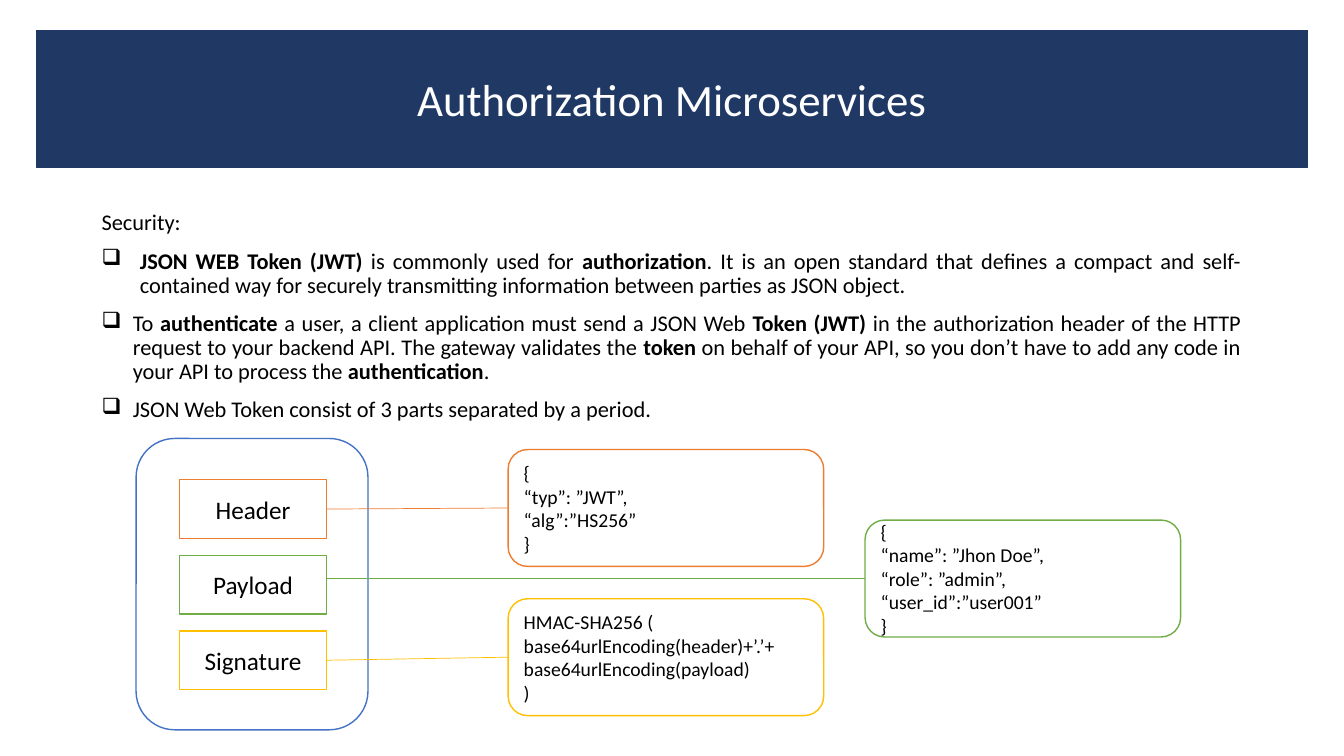
from lxml import etree
from pptx import Presentation
from pptx import util as u
from pptx.dml.color import RGBColor
from pptx.enum import shapes, text
from pptx.oxml.ns import qn

WIDTH, HEIGHT = 13.33, 7.5
COLORS = {"navy": "203864", "blue": "4472C4", "orange": "ED7D31", "green": "70AD47",
          "gold": "FFC000", "white": "FFFFFF", "black": "000000"}
ALIGN = text.PP_ALIGN

# Bold phrases stand between asterisks; each bullet has its hanging indent
BULLETS = [
    (0.38, "*JSON WEB Token (JWT) *is commonly used for *authorization*. It is an open standard "
           "that defines a compact and self-contained way for securely transmitting information "
           "between parties as JSON object."),
    (0.31, "To *authenticate* a user, a client application must send a JSON Web *Token (JWT) *"
           "in the authorization header of the HTTP request to your backend API. The gateway "
           "validates the *token* on behalf of your API, so you don’t have to add any code in "
           "your API to process the *authentication*."),
    (0.31, "JSON Web Token consist of 3 parts separated by a period."),
]

# Part name, color, left and top of its detail box, height where its link starts, detail lines
TOKEN_PARTS = [
    ("Header", "orange", 5.04, 4.46, 5.05, ["{", "“typ”: ”JWT”,", "“alg”:”HS256”", "}"]),
    ("Payload", "green", 8.58, 5.16, 5.74,
     ["{", "“name”: ”Jhon Doe”,", "“role”: ”admin”,", "“user_id”:”user001”", "}"]),
    ("Signature", "gold", 5.04, 5.94, 6.55,
     ["HMAC-SHA256 (", "base64urlEncoding(header)+’.’+", "base64urlEncoding(payload)", ")"]),
]


def rgb(name):
    return RGBColor.from_string(COLORS[name])


def write(paragraph, content, size, color="black", align=ALIGN.LEFT, indent=0,
          line_spacing=None, space_before=0):
    """Fill a paragraph; a positive indent also gives it a hanging bullet."""
    if indent:
        properties = paragraph._p.get_or_add_pPr()
        properties.set("marL", str(u.Inches(indent)))
        properties.set("indent", str(-u.Inches(indent)))
        etree.SubElement(properties, qn("a:buChar")).set("char", "❑")
    paragraph.alignment = align
    paragraph.space_before = u.Pt(space_before)
    if line_spacing:
        paragraph.line_spacing = line_spacing
    for index, piece in enumerate(content.split("*")):
        if piece:
            run = paragraph.add_run()
            run.text = piece
            run.font.name = "Calibri"
            run.font.size = u.Pt(size)
            run.font.bold = index % 2 == 1
            run.font.color.rgb = rgb(color)


def add_box(slide, box, line, fill="white", rounded=False, lines=(), **format):
    kind = shapes.MSO_SHAPE.ROUNDED_RECTANGLE if rounded else shapes.MSO_SHAPE.RECTANGLE
    shape = slide.shapes.add_shape(kind, *map(u.Inches, box))
    shape.shadow.inherit = False
    shape.fill.solid()
    shape.fill.fore_color.rgb = rgb(fill)
    shape.line.color.rgb = rgb(line)
    shape.line.width = u.Pt(1)
    frame = shape.text_frame
    frame.word_wrap = True
    frame.vertical_anchor = text.MSO_ANCHOR.MIDDLE
    for index, content in enumerate(lines):
        paragraph = frame.add_paragraph() if index else frame.paragraphs[0]
        write(paragraph, content, **format)


def add_link(slide, start, end, color):
    connector = slide.shapes.add_connector(
        shapes.MSO_CONNECTOR.STRAIGHT, *map(u.Inches, start + end))
    connector.line.color.rgb = rgb(color)
    connector.line.width = u.Pt(0.5)
    etree.SubElement(connector._element.spPr, qn("a:effectLst"))


def add_title(slide, box):
    add_box(slide, box, "navy", fill="navy", lines=["Authorization Microservices"],
            size=32, color="white", align=ALIGN.CENTER)


def add_body(slide, box):
    frame = slide.shapes.add_textbox(*map(u.Inches, box)).text_frame
    frame.word_wrap = True
    write(frame.paragraphs[0], "Security:", 16, line_spacing=0.9)
    for indent, content in BULLETS:
        write(frame.add_paragraph(), content, 16, align=ALIGN.JUSTIFY, indent=indent,
              line_spacing=0.9, space_before=10)


def add_token_diagram(slide, box):
    left, top, width, height = box
    # Container of the token parts
    add_box(slide, box, "blue", rounded=True)
    part_left, part_top = left + 0.43, top + 0.41
    part_width, part_height, pitch = 1.46, 0.58, 0.75
    detail_width, detail_height = 3.13, 1.16
    for row, (name, color, detail_left, detail_top, link_y, lines) in enumerate(TOKEN_PARTS):
        # Part, its link and its detail box
        add_box(slide, (part_left, part_top + row * pitch, part_width, part_height), color,
                lines=[name], size=18, align=ALIGN.CENTER)
        add_link(slide, (part_left + part_width, link_y),
                 (detail_left, detail_top + detail_height / 2), color)
        add_box(slide, (detail_left, detail_top, detail_width, detail_height), color,
                rounded=True, lines=lines, size=14)


def main():
    presentation = Presentation()
    presentation.slide_width = u.Inches(WIDTH)
    presentation.slide_height = u.Inches(HEIGHT)
    slide = presentation.slides.add_slide(presentation.slide_layouts[6])
    add_body(slide, (0.91, 2.05, 11.5, 2.3))
    add_title(slide, (0.36, 0.3, 12.61, 1.36))
    add_token_diagram(slide, (1.35, 4.35, 2.3, 2.89))
    presentation.save("out.pptx")


if __name__ == "__main__":
    main()
